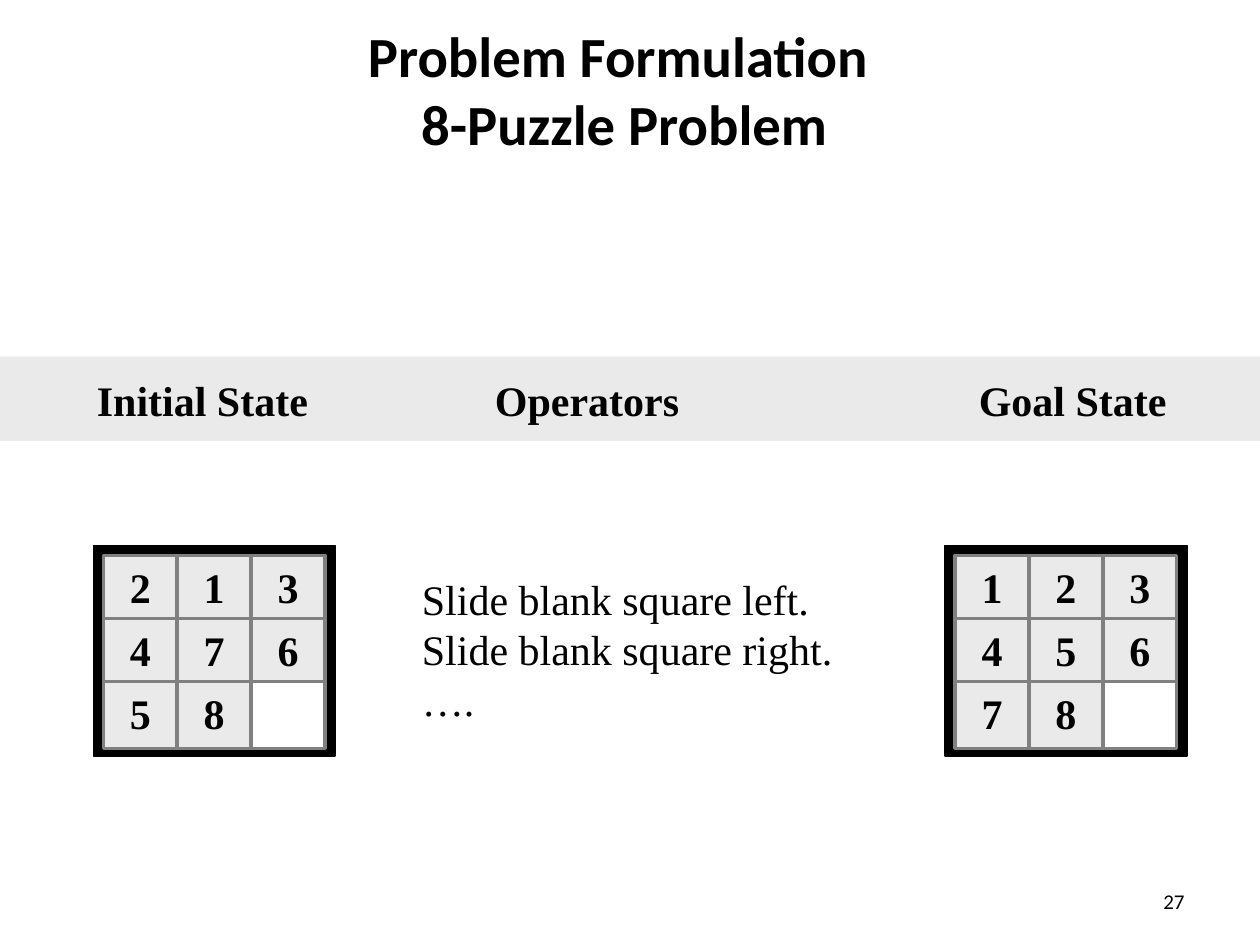
from pptx import Presentation
from pptx.dml.color import RGBColor
from pptx.enum.shapes import MSO_SHAPE as Shape
from pptx.enum.text import MSO_ANCHOR as Anchor, PP_ALIGN as Align
from pptx.util import Inches, Pt

BLACK = RGBColor(0x00, 0x00, 0x00)
WHITE = RGBColor(0xFF, 0xFF, 0xFF)
PALE = RGBColor(0xEA, 0xEA, 0xEA)
GRAY = RGBColor(0x80, 0x80, 0x80)
SERIF, SANS = "Times New Roman", "Calibri"


def add_run(para, text, size=24, font=SERIF, bold=False):
    run = para.add_run()
    run.text = text
    run.font.size, run.font.name, run.font.bold = Pt(size), font, bold
    run.font.color.rgb = BLACK


def add_text(slide, x, y, w, h, wrap=False, anchor=Anchor.TOP):
    box = slide.shapes.add_textbox(Inches(x), Inches(y), Inches(w), Inches(h))
    frame = box.text_frame
    frame.word_wrap, frame.vertical_anchor = wrap, anchor
    return frame


def add_rect(shapes, x, y, w, h, fill, line=None, width=0.75):
    rect = shapes.add_shape(Shape.RECTANGLE, Inches(x), Inches(y), Inches(w), Inches(h))
    rect.shadow.inherit = False
    rect.fill.solid()
    rect.fill.fore_color.rgb = fill
    if line is None:
        rect.line.fill.background()
    else:
        rect.line.color.rgb = line
        rect.line.width = Pt(width)
    return rect


def add_title(slide, x, y, w, h):
    para = add_text(slide, x, y, w, h, True, Anchor.MIDDLE).paragraphs[0]
    para.alignment = Align.CENTER
    add_run(para, "Problem Formulation ", 32.4, SANS, True)
    para.add_line_break()
    add_run(para, "8-Puzzle Problem", 32.4, SANS, True)


def add_band(slide, x, y, w, h):
    add_rect(slide.shapes, x, y, w, h, PALE)
    heads = (("Initial State", 0.67, 1.88), ("Operators", 3.83, 1.66),
             ("Goal State", 7.67, 1.69))
    for text, left, wide in heads:
        frame = add_text(slide, x + left, y + 0.09, wide, 0.5)
        add_run(frame.paragraphs[0], text, bold=True)


def add_board(slide, x, y, w, h, tiles):
    group = slide.shapes.add_group_shape().shapes
    add_rect(group, x, y, w, h, BLACK, BLACK)
    edge = 0.08
    step = (w - 2 * edge) / 3
    for i, digit in enumerate(tiles):
        row, col = divmod(i, 3)
        blank = digit == " "
        tile = add_rect(group, x + edge + col * step, y + edge + row * 0.5,
                        step, 0.53, WHITE if blank else PALE, GRAY, 2)
        if not blank:
            frame = tile.text_frame
            frame.vertical_anchor = Anchor.TOP
            para = frame.paragraphs[0]
            para.alignment = Align.CENTER
            add_run(para, digit, bold=True)


def add_moves(slide, x, y, w, h):
    frame = add_text(slide, x, y, w, h)
    moves = ("Slide blank square left.", "Slide blank square right.", "….")
    for i, text in enumerate(moves):
        para = frame.add_paragraph() if i else frame.paragraphs[0]
        add_run(para, text)


def add_number(slide, x, y, w, h):
    para = add_text(slide, x, y, w, h, True, Anchor.MIDDLE).paragraphs[0]
    para.alignment = Align.RIGHT
    add_run(para, "27", 12, SANS)


def main():
    deck = Presentation()
    deck.slide_width, deck.slide_height = Inches(10), Inches(7.5)
    slide = deck.slides.add_slide(deck.slide_layouts[6])
    # Title and column heads
    add_title(slide, 0.08, 0.08, 9.75, 1.25)
    add_band(slide, 0, 2.83, 10, 0.67)
    # Start board, moves, goal board
    add_board(slide, 0.74, 4.33, 1.92, 1.67, "21347658 ")
    add_moves(slide, 3.25, 4.5, 3.49, 1.31)
    add_board(slide, 7.5, 4.33, 1.92, 1.67, "12345678 ")
    # Slide number
    add_number(slide, 7.17, 6.95, 2.33, 0.4)
    deck.save("out.pptx")


if __name__ == "__main__":
    main()
